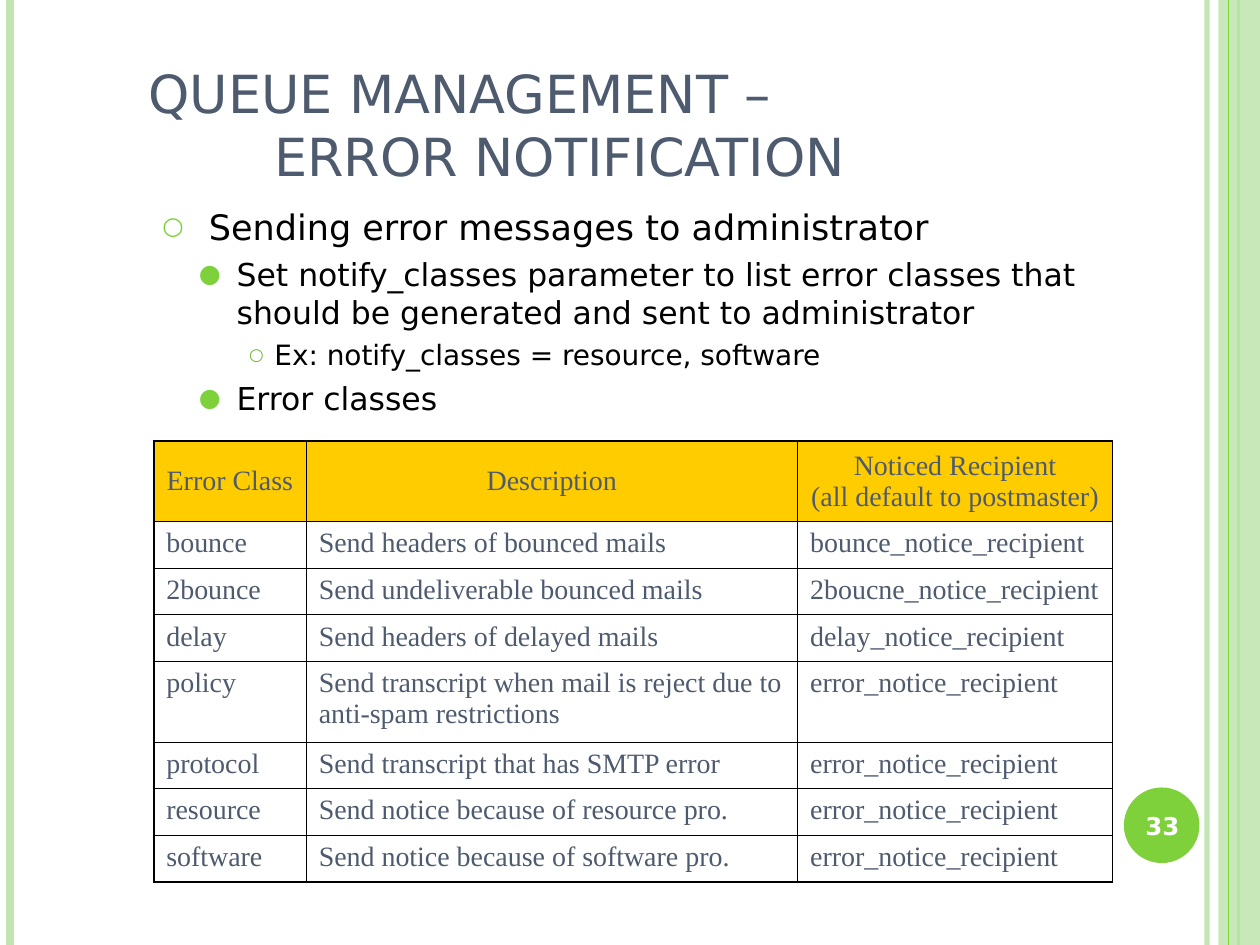
from lxml import etree
from pptx import Presentation
from pptx.dml.color import RGBColor
from pptx.enum.shapes import MSO_CONNECTOR, MSO_SHAPE
from pptx.enum.text import MSO_ANCHOR, PP_ALIGN
from pptx.oxml.ns import qn
from pptx.util import Inches, Pt

LEFT, CENTER = PP_ALIGN.LEFT, PP_ALIGN.CENTER
TOP, MIDDLE, BOTTOM = MSO_ANCHOR.TOP, MSO_ANCHOR.MIDDLE, MSO_ANCHOR.BOTTOM
STRAIGHT = MSO_CONNECTOR.STRAIGHT
SANS, SERIF = "DejaVu Sans", "Times New Roman"
COLORS = {
    "green": "7FD13B", "dark_green": "6FB833", "pale_green": "C0E5AF",
    "slate": "4E5B6F", "gold": "FFCC00", "black": "000000", "white": "FFFFFF",
}
WIDTH, HEIGHT = 10, 7.5

TITLE = "QUEUE MANAGEMENT –\v\tERROR NOTIFICATION"
PAGE_NUMBER = "33"
BULLETS = [
    (0, "Sending error messages to administrator"),
    (1, "Set notify_classes parameter to list error classes that "
        "should be generated and sent to administrator"),
    (2, "Ex: notify_classes = resource, software"),
    (1, "Error classes"),
]
LEVELS = [
    {"size": 20, "margin": 0.48, "hang": 0.37, "before": 6,
     "bullet": ("○", "green", 70)},
    {"size": 18, "margin": 0.7, "hang": 0.3, "before": 4.5,
     "bullet": ("●", "green", 80)},
    {"size": 16, "margin": 1, "hang": 0.2, "before": 4,
     "bullet": ("○", "dark_green", 60)},
]
ERROR_CLASSES = [
    ("Error Class", "Description",
     "Noticed Recipient\v(all default to postmaster)"),
    ("bounce", "Send headers of bounced mails", "bounce_notice_recipient"),
    ("2bounce", "Send undeliverable bounced mails", "2boucne_notice_recipient"),
    ("delay", "Send headers of delayed mails", "delay_notice_recipient"),
    ("policy", "Send transcript when mail is reject due to\vanti-spam restrictions",
     "error_notice_recipient"),
    ("protocol", "Send transcript that has SMTP error", "error_notice_recipient"),
    ("resource", "Send notice because of resource pro.", "error_notice_recipient"),
    ("software", "Send notice because of software pro.", "error_notice_recipient"),
]
COLUMN_WIDTHS = [1.21, 3.9, 2.5]
ROW_HEIGHT, TALL_ROW_HEIGHT = 0.37, 0.64
INNER_BORDER, OUTER_BORDER = 0.45, 1.08


def rgb(name):
    return RGBColor.from_string(COLORS[name])


def add_child(parent, tag, **attributes):
    child = etree.SubElement(parent, qn(tag))
    for key, value in attributes.items():
        child.set(key, str(value))
    return child


def set_alpha(element, percent):
    for color in element.iter(qn("a:srgbClr")):
        add_child(color, "a:alpha", val=percent * 1000)


def write(para, text, size, color, font=SANS, bold=False, align=LEFT,
          before=0, bullet=None, margin=0, hang=0, tab=None):
    para.text = text
    properties = para._p.get_or_add_pPr()
    if bullet:
        char, bullet_color, percent = bullet
        properties.set("marL", str(Inches(margin)))
        properties.set("indent", str(-Inches(hang)))
        add_child(add_child(properties, "a:buClr"), "a:srgbClr",
                  val=COLORS[bullet_color])
        add_child(properties, "a:buSzPct", val=percent * 1000)
        add_child(properties, "a:buFont", typeface=SANS)
        add_child(properties, "a:buChar", char=char)
    if tab:
        add_child(add_child(properties, "a:tabLst"), "a:tab",
                  pos=Inches(tab), algn="l")
    para.alignment = align
    para.space_before = Pt(before)
    for span in para.runs:
        span.font.size = Pt(size)
        span.font.name = font
        span.font.bold = bold
        span.font.color.rgb = rgb(color)


def add_frame(page, left, top, width, height, anchor=TOP):
    box = page.shapes.add_textbox(
        Inches(left), Inches(top), Inches(width), Inches(height))
    frame = box.text_frame
    frame.word_wrap = True
    frame.vertical_anchor = anchor
    return frame


def add_stripe(page, x, width, color, alpha=None):
    stripe = page.shapes.add_connector(
        STRAIGHT, Inches(x), 0, Inches(x), Inches(HEIGHT))
    stripe.line.width = Pt(width)
    stripe.line.color.rgb = rgb(color)
    if alpha:
        set_alpha(stripe._element.spPr, alpha)
    add_child(stripe._element.spPr, "a:effectLst")


def add_solid(page, kind, left, top, width, height, color, alpha=None):
    shape = page.shapes.add_shape(
        kind, Inches(left), Inches(top), Inches(width), Inches(height))
    shape.shadow.inherit = False
    shape.fill.solid()
    shape.fill.fore_color.rgb = rgb(color)
    shape.line.fill.background()
    if alpha:
        set_alpha(shape._element.spPr, alpha)


def set_borders(cell, outer_sides):
    properties = cell._tc.get_or_add_tcPr()
    for side in "LRTB":
        width = OUTER_BORDER if side in outer_sides else INNER_BORDER
        line = add_child(properties, f"a:ln{side}", w=Pt(width))
        add_child(add_child(line, "a:solidFill"), "a:srgbClr", val=COLORS["black"])


def add_error_table(page, left, top):
    heights = [TALL_ROW_HEIGHT if any("\v" in text for text in row) else ROW_HEIGHT
               for row in ERROR_CLASSES]
    table = page.shapes.add_table(
        len(heights), len(COLUMN_WIDTHS), Inches(left), Inches(top),
        Inches(sum(COLUMN_WIDTHS)), Inches(sum(heights))).table
    table.first_row = table.horz_banding = False
    for column, width in zip(table.columns, COLUMN_WIDTHS):
        column.width = Inches(width)
    last_row, last_column = len(heights) - 1, len(COLUMN_WIDTHS) - 1
    for r, texts in enumerate(ERROR_CLASSES):
        table.rows[r].height = Inches(heights[r])
        header = r == 0
        for c, text in enumerate(texts):
            cell = table.cell(r, c)
            edges = {"L": c == 0, "R": c == last_column,
                     "T": header, "B": r == last_row}
            set_borders(cell, [side for side, outer in edges.items() if outer])
            if header:
                cell.fill.solid()
                cell.fill.fore_color.rgb = rgb("gold")
            else:
                cell.fill.background()
            cell.vertical_anchor = MIDDLE if header else TOP
            write(cell.text_frame.paragraphs[0], text, 16, "slate", font=SERIF,
                  align=CENTER if header else LEFT)


def main():
    deck = Presentation()
    deck.slide_width, deck.slide_height = Inches(WIDTH), Inches(HEIGHT)
    page = deck.slides.add_slide(deck.slide_layouts[6])

    add_stripe(page, 9.58, 3, "pale_green", alpha=93)
    add_stripe(page, 0.08, 4.5, "pale_green")
    add_stripe(page, 9.83, 1.5, "green")
    add_solid(page, MSO_SHAPE.RECTANGLE, 9.67, 0, 0.33, HEIGHT, "pale_green", alpha=87)
    add_stripe(page, 9.75, 0.75, "green")
    add_solid(page, MSO_SHAPE.OVAL, 8.92, 6.25, 0.6, 0.6, "green")

    title = add_frame(page, 1.08, 0.28, 8.5, 1.25, anchor=BOTTOM)
    write(title.paragraphs[0], TITLE, 30, "slate", tab=1)

    body = add_frame(page, 1.08, 1.58, 8.04, 5.08)
    for index, (level, text) in enumerate(BULLETS):
        para = body.add_paragraph() if index else body.paragraphs[0]
        para.level = level
        style = LEVELS[level] if index else {**LEVELS[level], "before": 0}
        write(para, text, color="black", **style)

    add_error_table(page, 1.22, 3.5)

    number = add_frame(page, 8.89, 6.27, 0.67, 0.57, anchor=MIDDLE)
    write(number.paragraphs[0], PAGE_NUMBER, 14, "white", bold=True, align=CENTER)

    deck.save("out.pptx")


if __name__ == "__main__":
    main()
